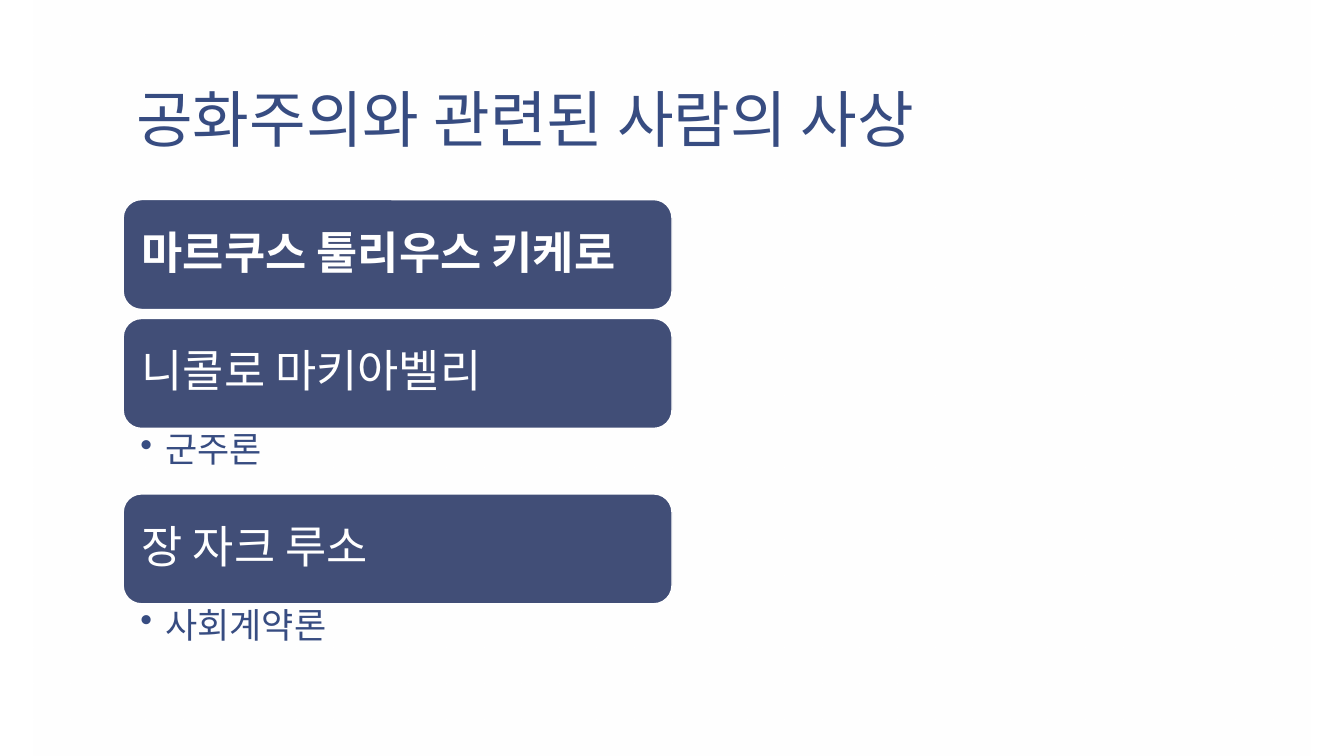
from dataclasses import dataclass

from lxml import etree
from pptx import Presentation
from pptx.dml.color import RGBColor
from pptx.enum.shapes import MSO_SHAPE
from pptx.enum.text import MSO_ANCHOR, PP_ALIGN
from pptx.oxml.ns import qn
from pptx.util import Inches, Pt

WHITE = RGBColor(0xFF, 0xFF, 0xFF)
NAVY = RGBColor(0x37, 0x4C, 0x81)
SLATE = RGBColor(0x41, 0x4E, 0x77)
RECTANGLE = MSO_SHAPE.RECTANGLE
ROUNDED = MSO_SHAPE.ROUNDED_RECTANGLE
TOP, MIDDLE, BOTTOM = MSO_ANCHOR.TOP, MSO_ANCHOR.MIDDLE, MSO_ANCHOR.BOTTOM
LEFT = PP_ALIGN.LEFT
KOREAN = "Noto Sans CJK KR"
LATIN = "League Spartan"

SLIDE_WIDTH, SLIDE_HEIGHT = Inches(13.333), Inches(7.5)
COLUMNS, ROWS = 120, 750
MARGIN, BAR_COLUMNS = 11, 49
STACK_TOP, BAR_ROWS, LIST_ROWS, GAP_ROWS = 198, 109, 65, 9


@dataclass
class Thinker:
    name: str
    work: str = ""
    font: str = KOREAN
    bold: bool = False


@dataclass
class TextStyle:
    size: int
    color: RGBColor
    insets: tuple[float, float, float, float]
    anchor: MSO_ANCHOR
    line_spacing: float
    space_after: int = 0
    bullet: str = ""
    font: str = KOREAN
    bold: bool = False


THINKERS = [
    Thinker("마르쿠스 툴리우스 키케로", font=LATIN, bold=True),
    Thinker("니콜로 마키아벨리", "군주론"),
    Thinker("장 자크 루소", "사회계약론"),
]
TITLE_STYLE = TextStyle(44, NAVY, (0.13, 0.07, 0.13, 0.07), BOTTOM, 0.85)
WORK_STYLE = TextStyle(25, NAVY, (0.17, 0.04, 0.25, 0.04), TOP, 0.9, 20, "•")


def place(column: int, row: int, columns: int, rows: int) -> tuple[int, ...]:
    return (
        int(SLIDE_WIDTH * column / COLUMNS),
        int(SLIDE_HEIGHT * row / ROWS),
        int(SLIDE_WIDTH * columns / COLUMNS),
        int(SLIDE_HEIGHT * rows / ROWS),
    )


def apply(target, values: dict) -> None:
    for name, value in values.items():
        setattr(target, name, value)


def write(box, text: str, style: TextStyle) -> None:
    frame = box.text_frame
    left, top, right, bottom = map(Inches, style.insets)
    apply(frame, {
        "word_wrap": True, "vertical_anchor": style.anchor,
        "margin_left": left, "margin_top": top,
        "margin_right": right, "margin_bottom": bottom,
    })
    para = frame.paragraphs[0]
    apply(para, {"alignment": LEFT, "line_spacing": style.line_spacing})
    properties = para._p.get_or_add_pPr()
    if style.space_after:
        after = etree.SubElement(properties, qn("a:spcAft"))
        etree.SubElement(after, qn("a:spcPct"), val=str(style.space_after * 1000))
    if style.bullet:
        para.level = 1
        indent = Inches(0.25)
        apply_indent = {"marL": str(indent), "indent": str(-indent)}
        for name, value in apply_indent.items():
            properties.set(name, value)
        etree.SubElement(properties, qn("a:buChar"), char=style.bullet)
    span = para.add_run()
    span.text = text
    apply(span.font, {"name": style.font, "size": Pt(style.size), "bold": style.bold})
    span.font.color.rgb = style.color
    etree.SubElement(span.font._element, qn("a:ea"), typeface=KOREAN)


def add_text(page, text: str, area: tuple[int, ...], style: TextStyle) -> None:
    write(page.shapes.add_textbox(*area), text, style)


def add_backdrop(page) -> None:
    backdrop = page.shapes.add_shape(RECTANGLE, *place(3, 0, 114, ROWS))
    backdrop.shadow.inherit = False
    backdrop.line.fill.background()
    backdrop.fill.gradient()
    backdrop.fill.gradient_angle = 230
    for stop, opacity in zip(backdrop.fill.gradient_stops, (100, 55)):
        stop.color.rgb = WHITE
        color = stop._gs.find(qn("a:srgbClr"))
        etree.SubElement(color, qn("a:alpha"), val=str(opacity * 1000))


def add_bar(page, thinker: Thinker, row: int) -> None:
    bar = page.shapes.add_shape(ROUNDED, *place(MARGIN, row, BAR_COLUMNS, BAR_ROWS))
    bar.shadow.inherit = False
    bar.fill.solid()
    bar.fill.fore_color.rgb = SLATE
    bar.line.color.rgb = WHITE
    bar.line.width = Pt(1)
    style = TextStyle(32, WHITE, (0.13,) * 4, MIDDLE, 0.9, 35,
                      font=thinker.font, bold=thinker.bold)
    write(bar, thinker.name, style)


def main() -> None:
    deck = Presentation()
    apply(deck, {"slide_width": SLIDE_WIDTH, "slide_height": SLIDE_HEIGHT})
    page = deck.slides.add_slide(deck.slide_layouts[6])
    add_backdrop(page)
    add_text(page, "공화주의와 관련된 사람의 사상", place(MARGIN, 8, 100, 153), TITLE_STYLE)
    row = STACK_TOP
    for thinker in THINKERS:
        add_bar(page, thinker, row)
        row += BAR_ROWS
        if thinker.work:
            add_text(page, thinker.work, place(MARGIN, row, BAR_COLUMNS, LIST_ROWS), WORK_STYLE)
            row += LIST_ROWS
        else:
            row += GAP_ROWS
    deck.save("out.pptx")


if __name__ == "__main__":
    main()
